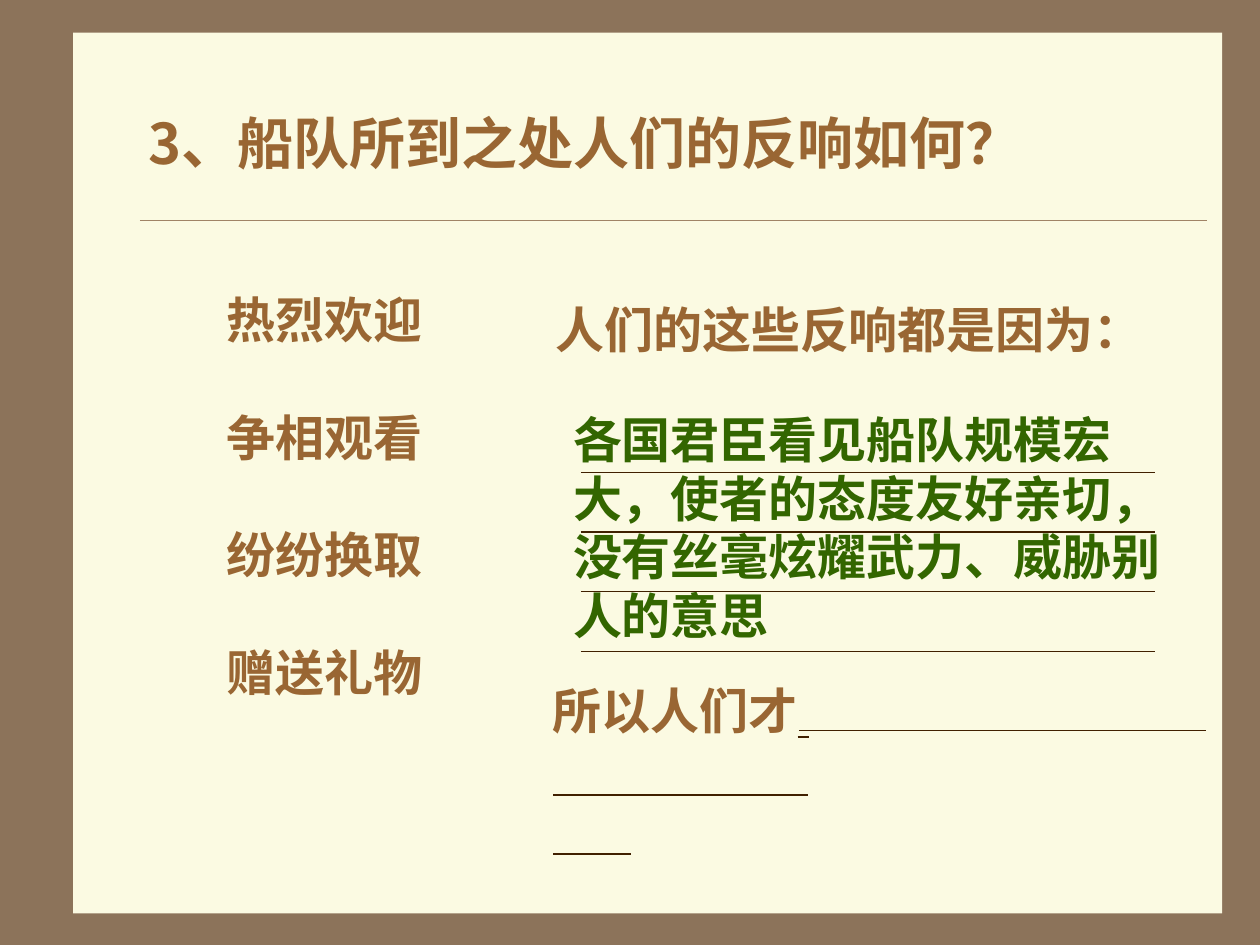
"""Build a lesson slide on how people received the fleet."""
from lxml import etree
from pptx import Presentation, util as u
from pptx.dml.color import RGBColor
from pptx.enum import shapes, text
from pptx.oxml.ns import qn

HUES = {"edge": "8C735A", "page": "FBFAE2", "rule": "A08366",
        "brown": "996633", "green": "336600", "ink": "402000"}
SANS, SERIF = "Noto Sans CJK SC", "Times New Roman"
PITCH = 33.6

TITLE = "3、船队所到之处人们的反响如何？"
ACTS = ["热烈欢迎", "争相观看", "纷纷换取", "赠送礼物"]
CAUSE = "人们的这些反响都是因为："
REASON = "各国君臣看见船队规模宏大，使者的态度友好亲切，没有丝毫炫耀武力、威胁别人的意思"
RESULT = "所以人们才"

BOXES = [
    ((1.7, 2.25, 1.75, 3.37), ACTS, SANS, "brown", False),
    ((4.31, 2.33, 4.86, 0.57), [CAUSE], SANS, "brown", False),
    ((4.45, 3.2, 5.06, 1.97), [REASON], SERIF, "green", True),
    ((4.29, 5.35, 2.28, 1.5), [RESULT], SANS, "brown", True),
]
BLANKS = [(6.34, 9.57, 5.8, 0.75), (6.33, 6.42, 5.85, 1.5),
          (4.39, 6.41, 6.31, 1.5), (4.39, 5.01, 6.78, 1)]
BLANKS += [(4.61, 9.17, 3.75 + 0.473 * i, 0.75) for i in range(4)]


def hue(key):
    return RGBColor.from_string(HUES[key])


def rule(slide, left, right, y, width, key):
    line = slide.shapes.add_connector(
        shapes.MSO_CONNECTOR.STRAIGHT,
        u.Inches(left), u.Inches(y), u.Inches(right), u.Inches(y))
    line.line.color.rgb = hue(key)
    line.line.width = u.Pt(width)
    etree.SubElement(line._element.spPr, qn("a:effectLst"))


def write(slide, spot, rows, face, key, wrap, size=28, pitch=PITCH):
    frame = slide.shapes.add_textbox(*map(u.Inches, spot)).text_frame
    frame.word_wrap = wrap
    if not pitch:
        frame.vertical_anchor = text.MSO_ANCHOR.MIDDLE
    for i, row in enumerate(rows):
        para = frame.add_paragraph() if i else frame.paragraphs[0]
        para._p.get_or_add_pPr().set("hangingPunct", "0")
        if pitch:
            para.line_spacing = u.Pt(pitch)
            para.space_before = u.Pt(pitch if i else 0)
        run = para.add_run()
        run.text = row
        font = run.font
        font.name, font.size, font.bold = face, u.Pt(size), True
        font.color.rgb = hue(key)
        etree.SubElement(run._r.rPr, qn("a:ea"), typeface=SANS)


def main():
    deck = Presentation()
    deck.slide_width, deck.slide_height = u.Inches(10), u.Inches(7.5)
    slide = deck.slides.add_slide(deck.slide_layouts[6])
    back = slide.background.fill
    back.solid()
    back.fore_color.rgb = hue("edge")

    page = slide.shapes.add_shape(
        shapes.MSO_SHAPE.RECTANGLE, *map(u.Inches, (0.58, 0.26, 9.12, 6.99)))
    page.shadow.inherit = False
    page.fill.solid()
    page.fill.fore_color.rgb = hue("page")
    page.line.fill.background()

    rule(slide, 1.11, 9.58, 1.75, 0.25, "rule")
    write(slide, (1.08, 0.5, 8.5, 1.25), [TITLE], SANS, "brown", True, 32, None)
    for box in BOXES:
        write(slide, *box)
    for blank in BLANKS:
        rule(slide, *blank, "ink")
    deck.save("out.pptx")


if __name__ == "__main__":
    main()
